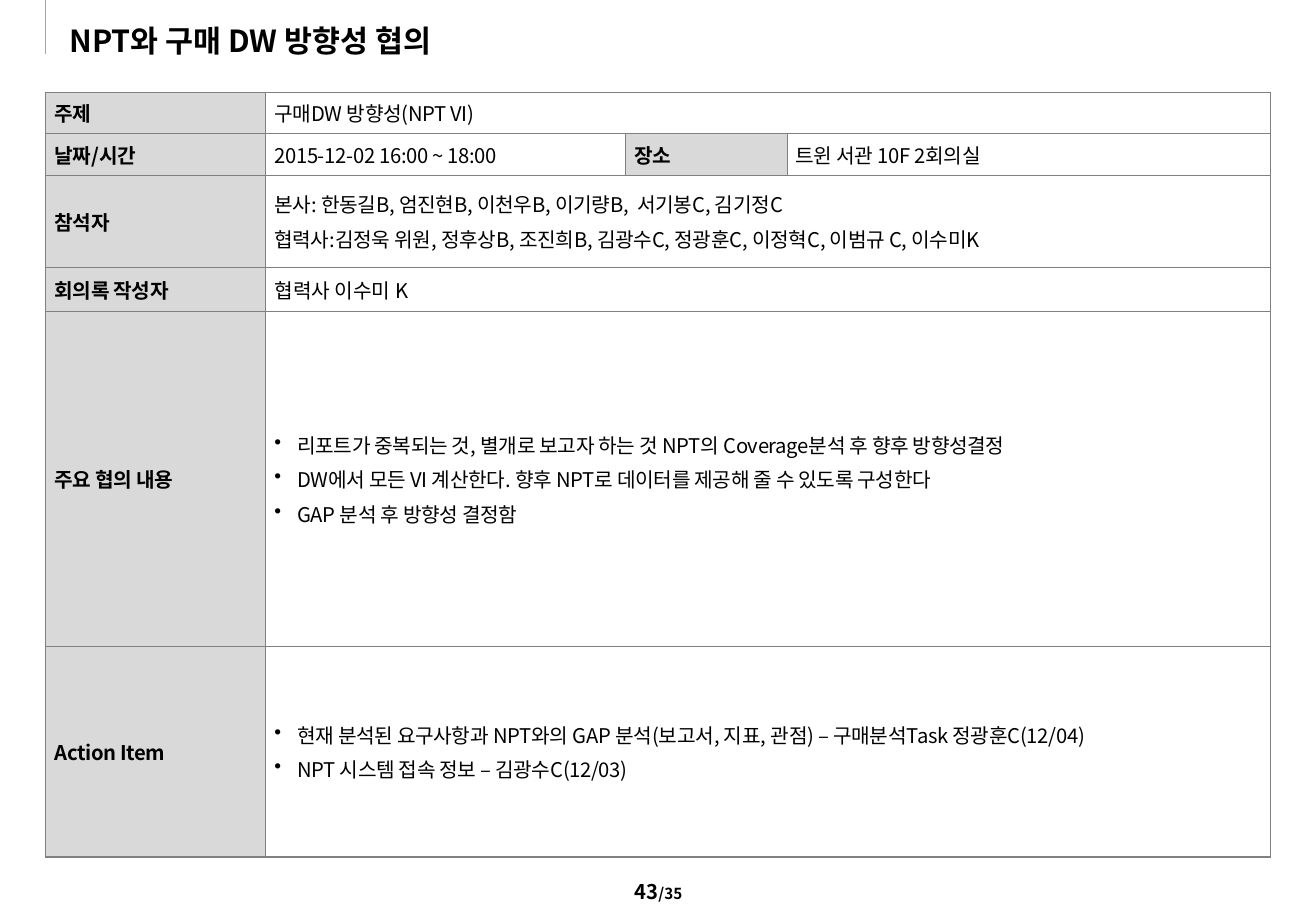
from lxml.etree import SubElement
from pptx import Presentation
from pptx.dml.color import RGBColor
from pptx.enum.shapes import MSO_CONNECTOR
from pptx.enum.text import MSO_ANCHOR, PP_ALIGN
from pptx.oxml import parse_xml
from pptx.oxml.ns import nsdecls, qn
from pptx.util import Cm, Pt

FONT = "Noto Sans CJK KR"
COLORS = {"text": "000000", "label": "D9D9D9", "value": "FFFFFF",
          "border": "808080", "accent": "A6A6A6"}


def rgb(name):
    return RGBColor.from_string(COLORS[name])


def add_run(p, text, size=12, bold=False, spacing=0):
    r = p.add_run()
    r.text = text
    r.font.color.rgb = rgb("text")
    for key, value in {"size": Pt(size), "bold": bold, "name": FONT}.items():
        setattr(r.font, key, value)
    rPr = r.font._element
    rPr.set("spc", str(spacing))
    SubElement(rPr, qn("a:ea")).set("typeface", FONT)


prs = Presentation()
prs.slide_width, prs.slide_height = Cm(27.52), Cm(19.05)
s = prs.slides.add_slide(prs.slide_layouts[6])

# Accent line beside the title
line = s.shapes.add_connector(MSO_CONNECTOR.STRAIGHT, Cm(0.96), Cm(0), Cm(0.96), Cm(1.14))
line.line.color.rgb = rgb("accent")
line.line.width = Pt(0.5)
SubElement(line._element.spPr, qn("a:effectLst"))

# Title
tf = s.shapes.add_textbox(Cm(1.45), Cm(0.46), Cm(18.92), Cm(0.76)).text_frame
margins = dict.fromkeys(["margin_left", "margin_top", "margin_right", "margin_bottom"], 0)
for key, value in {**margins, "word_wrap": True, "vertical_anchor": MSO_ANCHOR.MIDDLE}.items():
    setattr(tf, key, value)
add_run(tf.paragraphs[0], "NPT와 구매 DW 방향성 협의", size=18, bold=True)

# Page number
tf = s.shapes.add_textbox(Cm(10.9), Cm(18.26), Cm(5.74), Cm(0.84)).text_frame
tf.word_wrap = True
p = tf.paragraphs[0]
p.alignment = PP_ALIGN.CENTER
add_run(p, "43", bold=True)
add_run(p, "/35", size=9, bold=True)

# Minutes: each row alternates label and value; a list is bulleted
minutes = [
    ["주제", "구매DW 방향성(NPT VI)"],
    ["날짜/시간", "2015-12-02 16:00 ~ 18:00", "장소", "트윈 서관 10F 2회의실"],
    ["참석자", "본사: 한동길B, 엄진현B, 이천우B, 이기량B,  서기봉C, 김기정C\n"
               "협력사:김정욱 위원, 정후상B, 조진희B, 김광수C, 정광훈C, 이정혁C, 이범규 C, 이수미K"],
    ["회의록 작성자", "협력사 이수미 K"],
    ["주요 협의 내용", [
        "리포트가 중복되는 것, 별개로 보고자 하는 것 NPT의 Coverage분석 후 향후 방향성결정",
        "DW에서 모든 VI 계산한다. 향후 NPT로 데이터를 제공해 줄 수 있도록 구성한다",
        "GAP 분석 후 방향성 결정함"]],
    ["Action Item", [
        "현재 분석된 요구사항과 NPT와의 GAP 분석(보고서, 지표, 관점) – 구매분석Task 정광훈C(12/04)",
        "NPT 시스템 접속 정보 – 김광수C(12/03)"]],
]
col_widths = [4.6, 7.52, 3.38, 10.11]
row_heights = [0.87, 0.87, 1.92, 0.92, 7.01, 4.4]
AUTHOR_ROW = 3

table = s.shapes.add_table(len(row_heights), len(col_widths), Cm(0.96), Cm(1.93),
                           Cm(sum(col_widths)), Cm(sum(row_heights))).table
table.first_row = table.horz_banding = False
for col, width in zip(table.columns, col_widths):
    col.width = Cm(width)
for row, height in zip(table.rows, row_heights):
    row.height = Cm(height)

# Borders and fills
for i, entries in enumerate(minutes):
    for j in range(len(col_widths)):
        cell = table.cell(i, j)
        tcPr = cell._tc.get_or_add_tcPr()
        for side in "LRTB":
            tcPr.append(parse_xml(
                f'<a:ln{side} {nsdecls("a")} w="9525"><a:solidFill>'
                f'<a:srgbClr val="{COLORS["border"]}"/></a:solidFill></a:ln{side}>'))
        is_label = j % 2 == 0 and j < len(entries)
        cell.fill.solid()
        cell.fill.fore_color.rgb = rgb("label" if is_label else "value")
    if len(entries) == 2:
        table.cell(i, 1).merge(table.cell(i, 3))

# Cell text
cell_format = {**margins, "margin_left": Cm(0.18), "margin_right": Cm(0.18),
               "vertical_anchor": MSO_ANCHOR.MIDDLE}
for i, entries in enumerate(minutes):
    for j, entry in enumerate(entries):
        cell = table.cell(i, j)
        for key, value in cell_format.items():
            setattr(cell, key, value)
        bulleted = isinstance(entry, list)
        tf = cell.text_frame
        for k, text in enumerate(entry if bulleted else entry.split("\n")):
            p = tf.add_paragraph() if k else tf.paragraphs[0]
            p.alignment = PP_ALIGN.LEFT if j == 2 else PP_ALIGN.JUSTIFY
            p.space_before = Pt(0 if (i, j) == (0, 1) else 3)
            if bulleted:
                pPr = p._p.get_or_add_pPr()
                pPr.set("marL", str(Cm(0.48)))
                pPr.set("indent", str(-Cm(0.48)))
                SubElement(pPr, qn("a:buChar")).set("char", "•")
            add_run(p, text, bold=j % 2 == 0, spacing=0 if (i, j) == (AUTHOR_ROW, 1) else -20)

prs.save("out.pptx")
